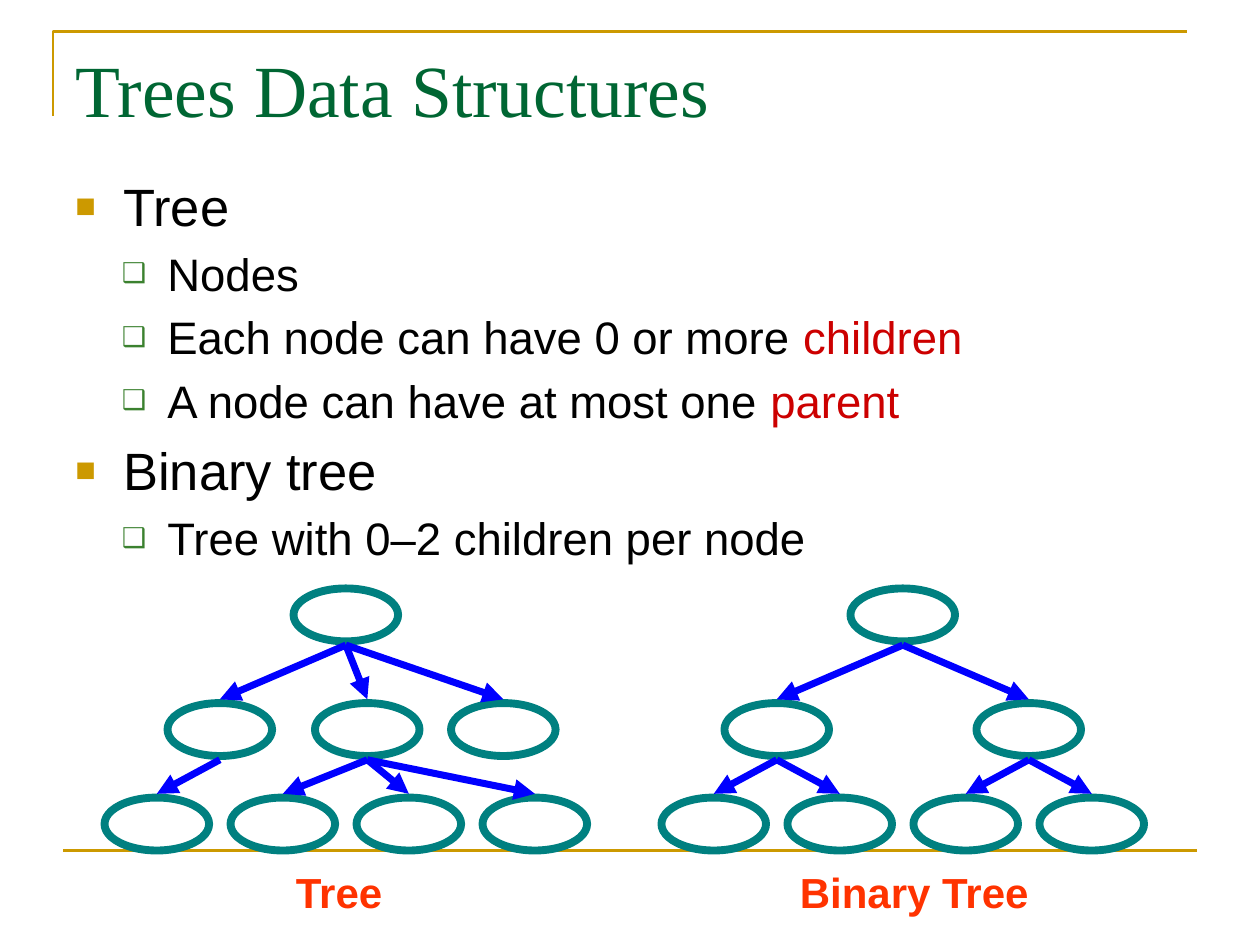
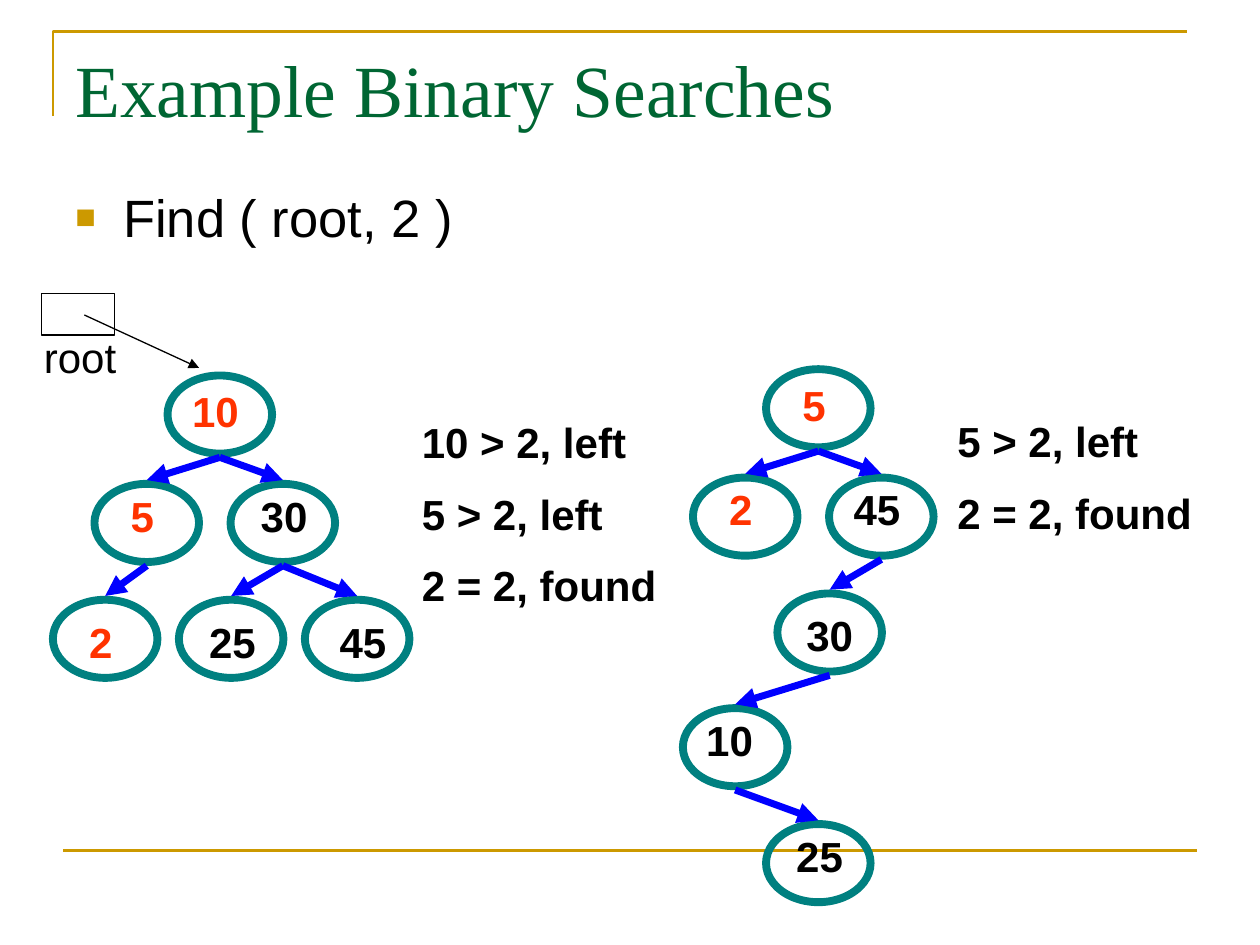
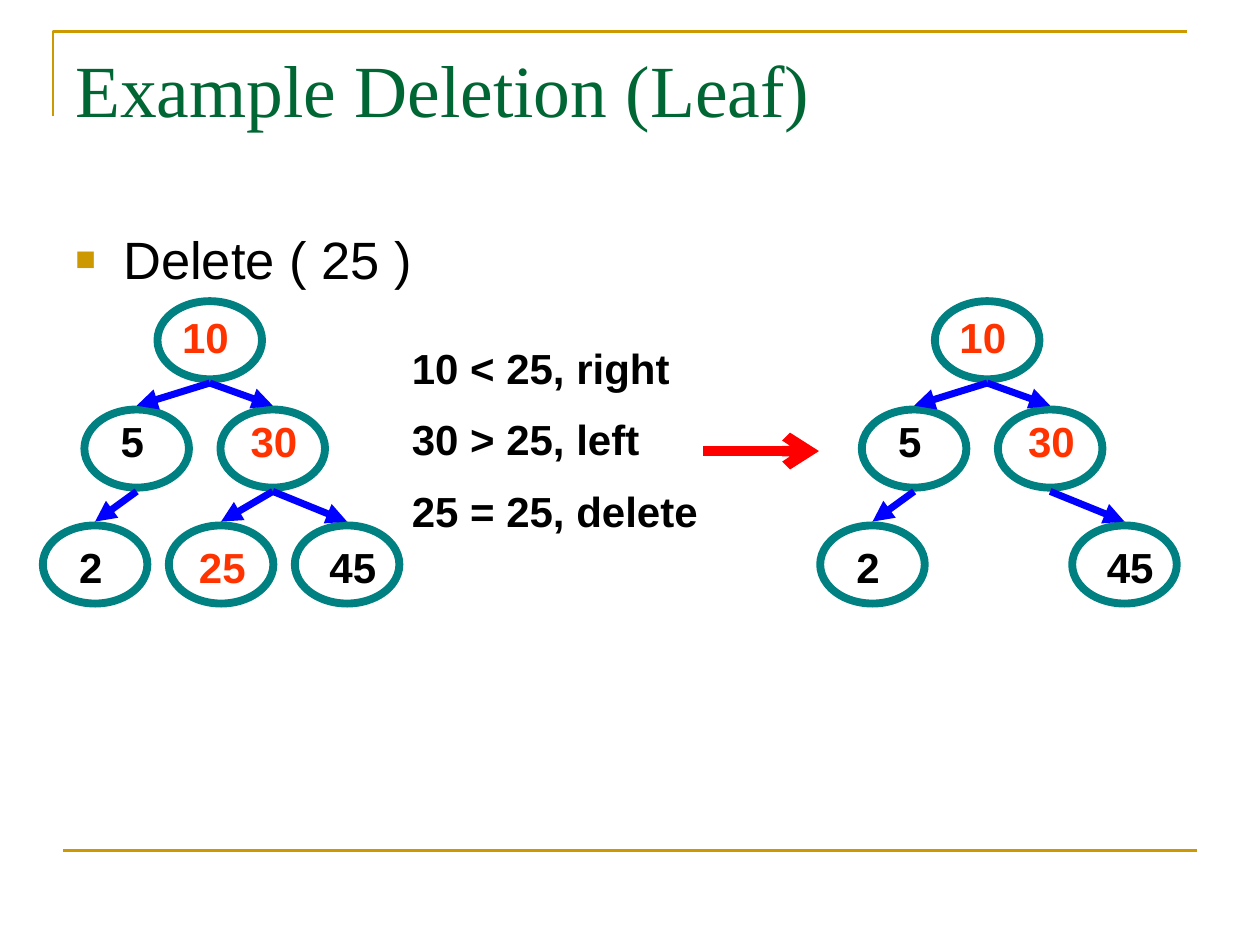
"""Three slides on tree data structures, binary search and leaf deletion."""
from lxml import etree
from pptx import Presentation
from pptx.dml.color import RGBColor
from pptx.enum.shapes import MSO_CONNECTOR, MSO_SHAPE
from pptx.enum.text import MSO_ANCHOR, MSO_AUTO_SIZE, PP_ALIGN
from pptx.oxml.ns import qn
from pptx.util import Inches, Pt

STRAIGHT = MSO_CONNECTOR.STRAIGHT
OVAL, RECTANGLE = MSO_SHAPE.OVAL, MSO_SHAPE.RECTANGLE
TOP = MSO_ANCHOR.TOP
FIT, FIXED = MSO_AUTO_SIZE.SHAPE_TO_FIT_TEXT, MSO_AUTO_SIZE.NONE
LEFT, CENTER = PP_ALIGN.LEFT, PP_ALIGN.CENTER

COLORS = {
    "gold": "CC9900", "title": "006633", "text": "000000", "keyword": "CC0000",
    "sub_bullet": "3B812F", "node": "008080", "edge": "0000FF",
    "visited": "FF3300", "result": "FF0000",
}
RGB = {name: RGBColor.from_string(value) for name, value in COLORS.items()}
BULLETS = [
    {"char": "■", "color": "gold", "percent": 65, "margin": 0.38, "indent": -0.38, "size": 30},
    {"char": "❑", "color": "sub_bullet", "percent": 60, "margin": 0.73, "indent": -0.36, "size": 26},
]
NODE_WIDTH, EDGE_GAP = 0.83, 0.03
LABEL_WIDTHS = {"2": 0.42, "5": 0.42, "10": 0.58, "45": 0.58, "25": 0.67, "30": 0.67}


def add_text(slide, box, paragraphs, size, color="text", font="Arial", bold=False,
             align=LEFT, wrap=True, fit=FIT, before=0):
    """Place paragraphs, each a list of (text, color) runs or a plain string."""
    frame = slide.shapes.add_textbox(*map(Inches, box)).text_frame
    frame.word_wrap, frame.auto_size, frame.vertical_anchor = wrap, fit, TOP
    for number, content in enumerate(paragraphs):
        paragraph = frame.paragraphs[0] if number == 0 else frame.add_paragraph()
        paragraph.alignment = align
        if before:
            spacing = etree.SubElement(paragraph._p.get_or_add_pPr(), qn("a:spcBef"))
            etree.SubElement(spacing, qn("a:spcPct"), val=str(before * 1000))
        runs = [(content, color)] if isinstance(content, str) else content
        for text, run_color in runs:
            run = paragraph.add_run()
            run.text = text
            run.font.name, run.font.size, run.font.bold = font, Pt(size), bold
            run.font.color.rgb = RGB[run_color]
    return frame


def add_line(slide, start, end, color, width, head=None):
    """Draw a straight line with an optional arrowhead at its end."""
    line = slide.shapes.add_connector(STRAIGHT, *map(Inches, (*start, *end)))
    line.line.color.rgb, line.line.width = RGB[color], Pt(width)
    if head:
        etree.SubElement(line.line._get_or_add_ln(), qn("a:tailEnd"), type=head)
    etree.SubElement(line._element.spPr, qn("a:effectLst"))


general_tree = [
    (2.33, 4.67, None), (1.33, 5.58, 0), (2.5, 5.58, 0), (3.58, 5.58, 0),
    (0.83, 6.33, 1), (1.83, 6.33, 2), (2.83, 6.33, 2), (3.83, 6.33, 2),
]
binary_tree = [
    (6.75, 4.67, None), (5.75, 5.58, 0), (7.75, 5.58, 0),
    (5.25, 6.33, 1), (6.25, 6.33, 1), (7.25, 6.33, 2), (8.25, 6.33, 2),
]
balanced_tree = [
    (1.33, 2.98, None, "10", 0.09, 0.03), (0.75, 3.84, 0, "5", 0.17, 0),
    (1.83, 3.84, 0, "30", 0.09, 0), (0.42, 4.76, 1, "2", 0.17, 0.08),
    (2.42, 4.76, 2, "45", 0.17, 0.08), (1.42, 4.76, 2, "25", 0.09, 0.08),
]
uneven_tree = [
    (6.08, 2.93, None, "5", 0.17, 0.03), (5.5, 3.79, 0, "2", 0.17, 0),
    (6.58, 3.79, 0, "45", 0.09, 0), (6.17, 4.71, 2, "30", 0.08, 0.08),
    (5.42, 5.62, 3, "10", 0.08, 0), (6.08, 6.54, 4, "25", 0.09, 0),
]

lessons = [
    {
        "title": "Trees Data Structures", "top": 1.33,
        "body": [
            (0, [("Tree", "text")]),
            (1, [("Nodes", "text")]),
            (1, [("Each node can have 0 or more ", "text"), ("children", "keyword")]),
            (1, [("A node can have at most one ", "text"), ("parent", "keyword")]),
            (0, [("Binary tree", "text")]),
            (1, [("Tree with 0–2 children per node", "text")]),
        ],
        "trees": [(binary_tree, 0, 0, 0.42, ()), (general_tree, 0, 0, 0.42, ())],
        "steps": [],
    },
    {
        "title": "Example Binary Searches", "top": 1.42,
        "body": [(0, [("Find ( root, 2 )", "text")])],
        "trees": [(balanced_tree, 0, 0, 0.62, ("10", "5", "2")),
                  (uneven_tree, 0, 0, 0.62, ("5", "2"))],
        "steps": [((3.25, 3.26, 2.5, 1.7), ["10 > 2, left", "5 > 2, left", "2 = 2, found"]),
                  ((7.5, 3.25, 2.5, 1.1), ["5 > 2, left", "2 = 2, found"])],
    },
    {
        "title": "Example Deletion (Leaf)", "top": 1.75,
        "body": [(0, [("Delete ( 25 )", "text")])],
        "trees": [(balanced_tree, -0.08, -0.59, 0.62, ("10", "30", "25")),
                  (balanced_tree[:-1], 6.09, -0.59, 0.62, ("10", "30"))],
        "steps": [((3.17, 2.67, 2.5, 1.7),
                   ["10 < 25, right", "30 > 25, left", "25 = 25, delete"])],
    },
]

presentation = Presentation()
presentation.slide_width, presentation.slide_height = Inches(10), Inches(7.5)
slides = []

for lesson in lessons:
    slide = presentation.slides.add_slide(presentation.slide_layouts[6])
    slides.append(slide)

    outline = slide.shapes.build_freeform(Inches(0.42), Inches(0.92))
    outline.add_line_segments(
        [(Inches(0.42), Inches(0.25)), (Inches(9.42), Inches(0.25))], close=False)
    corner = outline.convert_to_shape()
    corner.fill.background()
    corner.line.color.rgb, corner.line.width = RGB["gold"], Pt(1.5)
    corner.shadow.inherit = False
    add_line(slide, (0.5, 6.75), (9.5, 6.75), "gold", 1.5)

    add_text(slide, (0.5, 0.3, 9, 1.25), [lesson["title"]], 42, "title",
             "Times New Roman", fit=FIXED)

    body = add_text(slide, (0.5, lesson["top"], 9, 4.95),
                    [runs for level, runs in lesson["body"]], 30, fit=FIXED, before=20)
    for paragraph, (level, runs) in zip(body.paragraphs, lesson["body"]):
        bullet = BULLETS[level]
        paragraph.level = level
        for run in paragraph.runs:
            run.font.size = Pt(bullet["size"])
        properties = paragraph._p.get_or_add_pPr()
        properties.set("marL", str(Inches(bullet["margin"])))
        properties.set("indent", str(Inches(bullet["indent"])))
        tint = etree.SubElement(properties, qn("a:buClr"))
        etree.SubElement(tint, qn("a:srgbClr"), val=COLORS[bullet["color"]])
        etree.SubElement(properties, qn("a:buSzPct"), val=str(bullet["percent"] * 1000))
        etree.SubElement(properties, qn("a:buFont"), typeface="Arial")
        etree.SubElement(properties, qn("a:buChar"), char=bullet["char"])

    for tree, shift_x, shift_y, height, visited in lesson["trees"]:
        for x, y, parent, *label in tree:
            left, top = x + shift_x, y + shift_y
            node = slide.shapes.add_shape(
                OVAL, *map(Inches, (left, top, NODE_WIDTH, height)))
            node.fill.background()
            node.line.color.rgb, node.line.width = RGB["node"], Pt(4.5)
            node.shadow.inherit = False
            if parent is not None:
                parent_x, parent_y = tree[parent][:2]
                add_line(slide,
                         (parent_x + shift_x + NODE_WIDTH / 2,
                          parent_y + shift_y + height + EDGE_GAP),
                         (left + NODE_WIDTH / 2, top - EDGE_GAP), "edge", 4, "triangle")
            if label:
                value, offset_x, offset_y = label
                add_text(slide, (left + offset_x, top + offset_y, LABEL_WIDTHS[value], 0.5),
                         [value], 24, "visited" if value in visited else "text",
                         bold=True, align=CENTER)

    for box, steps in lesson["steps"]:
        add_text(slide, box, steps, 24, bold=True, before=50)

structures, searches, deletion = slides

for caption, left, width in [("Tree", 2.25, 0.91), ("Binary Tree", 6.25, 2.04)]:
    add_text(structures, (left, 6.83, width, 0.5), [caption], 24, "visited",
             bold=True, wrap=False)

add_text(searches, (0.25, 2.58, 0.78, 0.5), ["root"], 24, wrap=False)
add_line(searches, (0.67, 2.5), (1.58, 2.92), "text", 0.75, "triangle")
root_cell = searches.shapes.add_shape(RECTANGLE, *map(Inches, (0.33, 2.33, 0.58, 0.33)))
root_cell.fill.background()
root_cell.line.color.rgb, root_cell.line.width = RGB["text"], Pt(0.75)
root_cell.shadow.inherit = False

add_line(deletion, (5.58, 3.58), (6.5, 3.58), "result", 6, "arrow")

presentation.save("out.pptx")
